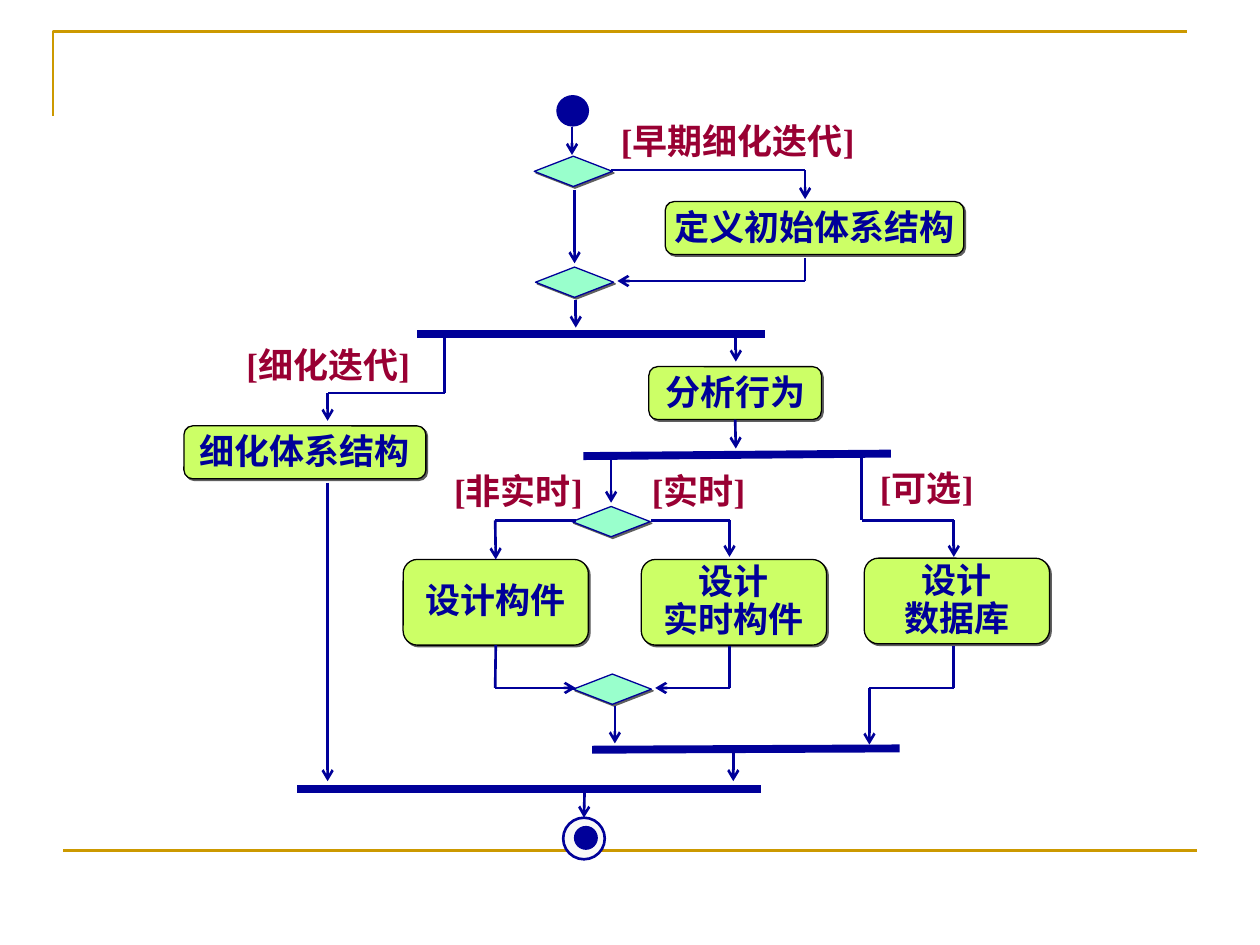
import pptx
import pptx.util
import pptx.dml.color
import pptx.enum.shapes
import pptx.enum.text
import pptx.oxml
import pptx.oxml.ns

Inches = pptx.util.Inches
Pt = pptx.util.Pt
KIND = pptx.enum.shapes.MSO_SHAPE
ANCHOR = pptx.enum.text.MSO_ANCHOR
FONT = "Times New Roman"
COLORS = {
    "gold": "CC9900", "navy": "000099", "mint": "99FFCC", "lime": "CCFF66",
    "black": "000000", "gray": "5F5F5F", "red": "990033", "pale": "F8F8F8",
}
TOP, BOTTOM = 0, 2


def color(name):
    return pptx.dml.color.RGBColor.from_string(COLORS[name])


def add_xml(parent, tag, body="", **attrs):
    text = "".join(f' {key}="{val}"' for key, val in attrs.items())
    space = pptx.oxml.ns.nsdecls("a")
    parent.append(pptx.oxml.parse_xml(f"<a:{tag} {space}{text}>{body}</a:{tag}>"))


def add_text(shape, lines, ink, space=1.0):
    frame = shape.text_frame
    frame.word_wrap = False
    for num, line in enumerate(lines):
        para = frame.add_paragraph() if num else frame.paragraphs[0]
        para.alignment = pptx.enum.text.PP_ALIGN.CENTER
        para.line_spacing = space
        run = para.add_run()
        run.text = line
        run.font.name = FONT
        run.font.size = Pt(20)
        run.font.bold = True
        run.font.color.rgb = color(ink)


def add_shape(slide, kind, place, fill, edge="navy", width=0.75):
    shape = slide.shapes.add_shape(kind, *map(Inches, place))
    shape.shadow.inherit = False
    shape.fill.solid()
    shape.fill.fore_color.rgb = color(fill)
    shape.line.color.rgb = color(edge)
    shape.line.width = Pt(width)
    return shape


def add_shade(shape):
    """Give the shape a hard shadow down to the right."""
    effects = shape._element.spPr.find(pptx.oxml.ns.qn("a:effectLst"))
    add_xml(effects, "outerShdw", f'<a:srgbClr val="{COLORS["gray"]}"/>',
            dist=Pt(1.4), dir=45 * 60000, algn="ctr", rotWithShape=0)


def add_box(slide, place, lines, space=0.9):
    box = add_shape(slide, KIND.ROUNDED_RECTANGLE, place, "lime", "black")
    add_shade(box)
    box.text_frame.vertical_anchor = ANCHOR.MIDDLE
    add_text(box, lines, "navy", space)
    return box


def add_choice(slide, left, top):
    add_shade(add_shape(slide, KIND.DIAMOND, (left, top, 0.62, 0.24), "mint"))


def add_label(slide, left, top, width, text):
    label = slide.shapes.add_textbox(*map(Inches, (left, top, width, 0.44)))
    add_text(label, [text], "red")
    label.text_frame.auto_size = pptx.enum.text.MSO_AUTO_SIZE.SHAPE_TO_FIT_TEXT


def add_line(slide, start, end, width=1.5, ink="navy", arrow=False):
    line = slide.shapes.add_connector(
        pptx.enum.shapes.MSO_CONNECTOR.STRAIGHT, *map(Inches, start + end))
    line.line.color.rgb = color(ink)
    line.line.width = Pt(width)
    if arrow:
        add_xml(line.line._get_or_add_ln(), "tailEnd", type="arrow")
    add_xml(line._element.spPr, "effectLst")
    return line


def add_flow(slide, *points):
    """Join the points by straight lines, with an arrowhead at the last."""
    pairs = list(zip(points, points[1:]))
    return [add_line(slide, start, end, arrow=num == len(pairs))
            for num, (start, end) in enumerate(pairs, 1)]


def add_frame(slide):
    path = slide.shapes.build_freeform(Inches(0.42), Inches(0.92))
    path.add_line_segments(
        [(Inches(0.42), Inches(0.25)), (Inches(9.42), Inches(0.25))], close=False)
    corner = path.convert_to_shape()
    corner.shadow.inherit = False
    corner.fill.background()
    corner.line.color.rgb = color("gold")
    corner.line.width = Pt(1.5)
    add_line(slide, (0.5, 6.75), (9.5, 6.75), ink="gold")


def add_flows(slide, study, part, stop):
    add_flow(slide, (4.54, 1.01), (4.54, 1.23))
    add_flow(slide, (4.85, 1.35), (6.39, 1.35), (6.39, 1.58))
    add_flow(slide, (4.56, 1.51), (4.56, 2.09))
    add_flow(slide, (6.39, 2.05), (6.39, 2.23), (4.9, 2.23))
    add_flow(slide, (4.57, 2.38), (4.57, 2.6))

    add_flow(slide, (3.53, 2.67), (3.53, 3.12), (2.6, 3.12), (2.6, 3.34))
    add_flow(slide, (2.6, 3.83), (2.6, 6.2))
    add_flow(slide, (5.84, 2.65), (5.84, 2.87))
    add_flow(slide, (5.84, 3.33), (5.84, 3.56))[0].begin_connect(study, BOTTOM)

    add_flow(slide, (4.85, 3.62), (4.85, 3.99))
    add_flow(slide, (4.57, 4.13), (3.93, 4.13), (3.93, 4.44))[-1].end_connect(part, TOP)
    add_flow(slide, (5.17, 4.13), (5.79, 4.13), (5.79, 4.42))
    add_flow(slide, (6.84, 3.63), (6.84, 4.13), (7.57, 4.13), (7.57, 4.42))

    add_flow(slide, (3.93, 5.12), (3.93, 5.46), (4.57, 5.46))[0].begin_connect(part, BOTTOM)
    add_flow(slide, (5.79, 5.13), (5.79, 5.46), (5.2, 5.46))
    add_flow(slide, (7.57, 5.13), (7.57, 5.46), (6.9, 5.46), (6.9, 5.91))
    add_flow(slide, (4.88, 5.6), (4.88, 5.9))
    add_flow(slide, (5.82, 5.98), (5.82, 6.2))
    add_flow(slide, (4.64, 6.27), (4.64, 6.49))[0].end_connect(stop, TOP)


def main():
    deck = pptx.Presentation()
    deck.slide_width, deck.slide_height = Inches(10), Inches(7.5)
    slide = deck.slides.add_slide(deck.slide_layouts[6])
    add_frame(slide)

    add_shape(slide, KIND.OVAL, (4.42, 0.76, 0.25, 0.24), "navy")
    for left, top in [(4.24, 1.24), (4.25, 2.12), (4.54, 4.02), (4.55, 5.35)]:
        add_choice(slide, left, top)

    add_box(slide, (5.28, 1.6, 2.37, 0.42), ["定义初始体系结构"], 0.95)
    add_box(slide, (1.46, 3.38, 1.92, 0.42), ["细化体系结构"], 0.95)
    study = add_box(slide, (5.15, 2.91, 1.37, 0.42), ["分析行为"], 0.95)
    part = add_box(slide, (3.2, 4.44, 1.47, 0.68), ["设计构件"])
    add_box(slide, (5.09, 4.44, 1.47, 0.68), ["设计", "实时构件"])
    add_box(slide, (6.86, 4.43, 1.47, 0.68), ["设计", "数据库"])

    for start, end in [((3.31, 2.65), (6.07, 2.65)), ((4.63, 3.62), (7.07, 3.6)),
                       ((4.7, 5.95), (7.14, 5.94)), ((2.36, 6.26), (6.04, 6.26))]:
        add_line(slide, start, end, width=4.5)

    stop = add_shape(slide, KIND.OVAL, (4.47, 6.49, 0.33, 0.33), "pale", width=1.5)
    add_shape(slide, KIND.OVAL, (4.56, 6.56, 0.18, 0.18), "navy")
    add_flows(slide, study, part, stop)

    for left, top, width, text in [
            (4.74, 0.9, 2.23, "[早期细化迭代]"), (1.77, 2.68, 1.67, "[细化迭代]"),
            (6.77, 3.65, 1.17, "[可选]"), (4.96, 3.68, 1.17, "[实时]"),
            (3.42, 3.68, 1.39, "[非实时]")]:
        add_label(slide, left, top, width, text)
    deck.save("out.pptx")


if __name__ == "__main__":
    main()
